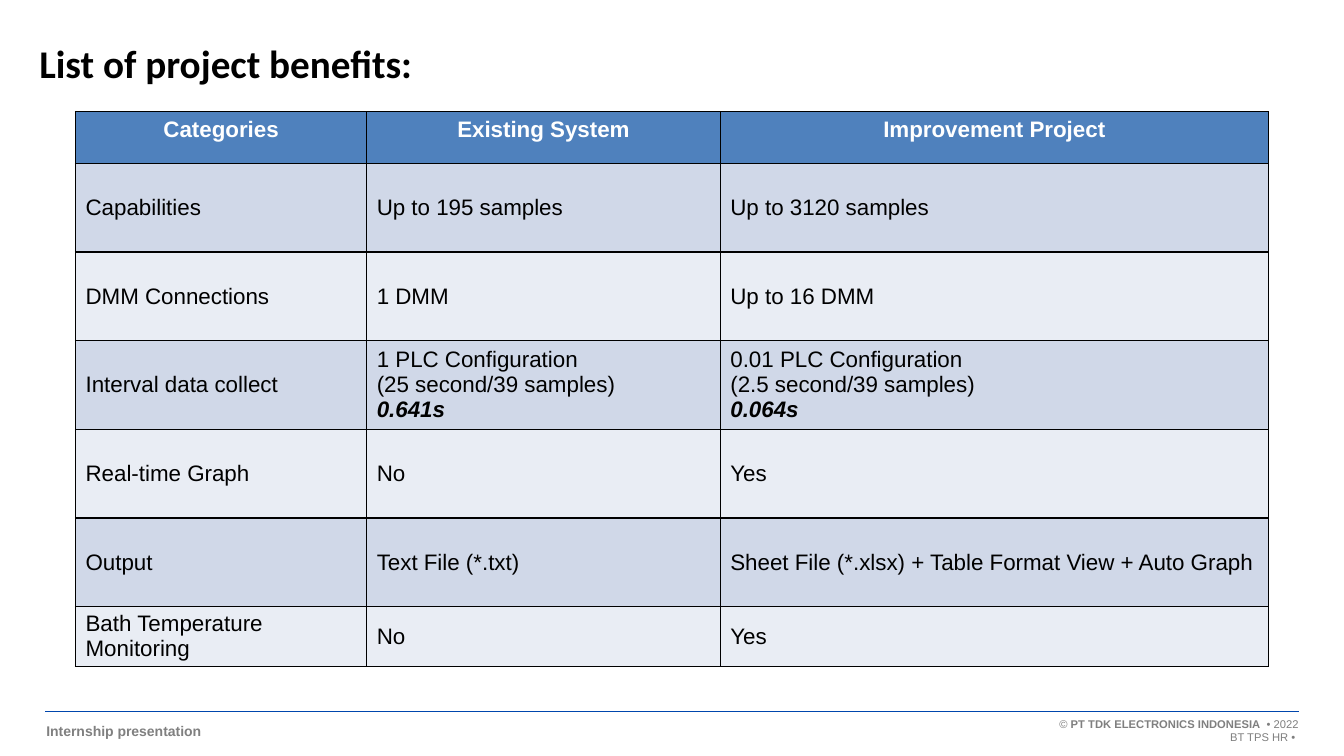
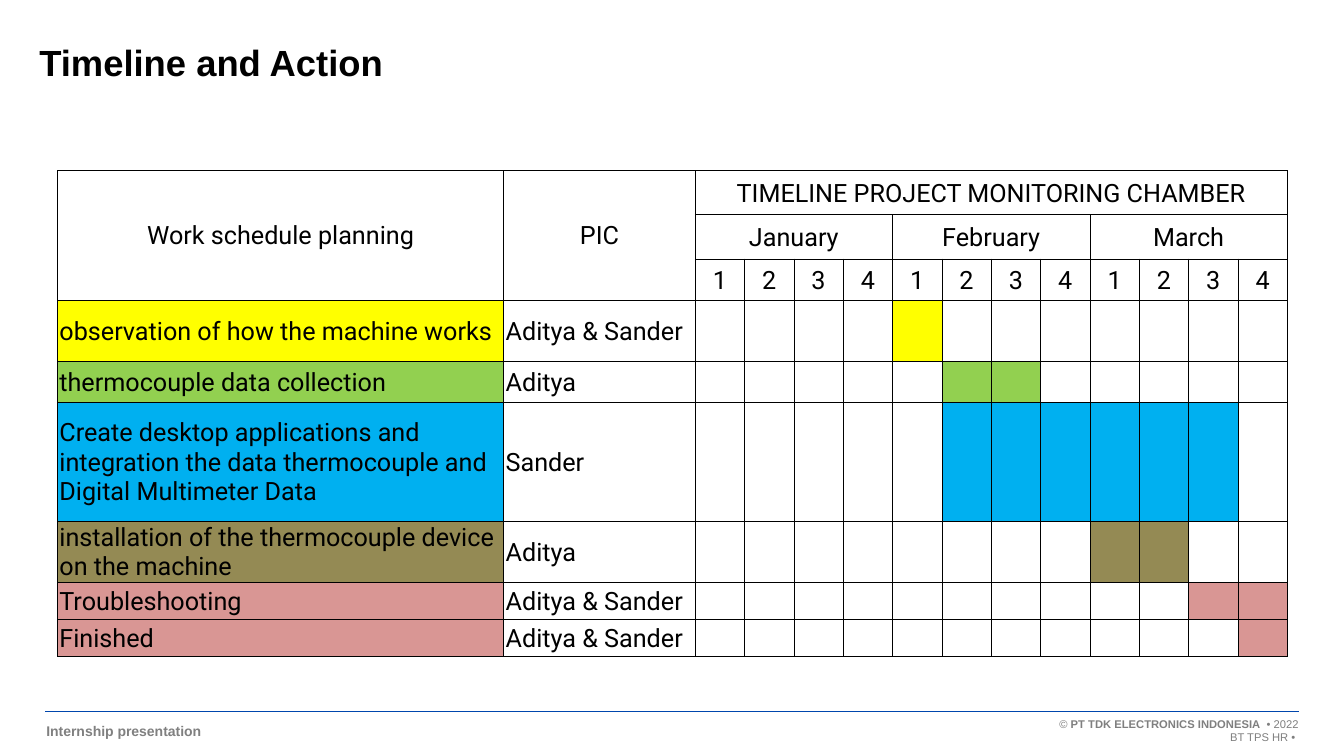
from dataclasses import dataclass
from lxml import etree
from pptx import Presentation
from pptx.dml.color import RGBColor as RGB
from pptx.enum import shapes, text
from pptx.oxml import ns
from pptx.util import Inches, Pt


@dataclass(frozen=True)
class Theme:
    sans: str = "Arial"
    head: str = "Calibri"
    plan: str = "Roboto"
    black: str = "000000"
    white: str = "FFFFFF"
    foot: str = "808080"
    note: str = "7F7F7F"
    rule: str = "0046AD"
    band: str = "4F81BD"
    odd: str = "D0D8E8"
    even: str = "E9EDF4"
    body: int = 16
    task: int = 18
    label: int = 10
    small: int = 8


T = Theme()
LEFT, MID, RIGHT = text.PP_ALIGN.LEFT, text.PP_ALIGN.CENTER, text.PP_ALIGN.RIGHT
TOP, CORE, LOW = text.MSO_ANCHOR.TOP, text.MSO_ANCHOR.MIDDLE, text.MSO_ANCHOR.BOTTOM

FOOT = "Internship presentation"
OWNER = [("© ", False), ("PT TDK ELECTRONICS INDONESIA  ", True), ("• 2022", False)]
UNIT = "BT TPS HR • "

GAINS = [
    ("Categories", "Existing System", "Improvement Project"),
    ("Capabilities", "Up to 195 samples", "Up to 3120 samples"),
    ("DMM Connections", "1 DMM", "Up to 16 DMM"),
    ("Interval data collect",
     "1 PLC Configuration\n(25 second/39 samples)\n0.641s",
     "0.01 PLC Configuration\n(2.5 second/39 samples)\n0.064s"),
    ("Real-time Graph", "No", "Yes"),
    ("Output", "Text File (*.txt)",
     "Sheet File (*.xlsx) + Table Format View + Auto Graph"),
    ("Bath Temperature Monitoring", "No", "Yes"),
]

MONTHS = ["January", "February", "March"]
WEEKS = 4
BOTH = "Aditya & Sander"
TASKS = [
    ("observation of how the machine works", BOTH, "FFFF00", 5, 5, 0.6),
    ("thermocouple data collection", "Aditya", "92D050", 6, 7, 0.41),
    ("Create desktop applications and integration the data thermocouple "
     "and Digital Multimeter Data", "Sander", "00B0F0", 6, 11, 1.18),
    ("installation of the thermocouple device on the machine", "Aditya",
     "948A54", 9, 10, 0.6),
    ("Troubleshooting", BOTH, "D99694", 11, 12, 0.37),
    ("Finished", BOTH, "D99694", 12, 12, 0.37),
]


def style(para, face, size, color, bold=False, align=LEFT):
    para.alignment = align
    font = para.font
    font.name, font.size, font.bold = face, Pt(size), bold
    font.color.rgb = RGB.from_string(color)


def trim(frame, anchor):
    frame.margin_left = frame.margin_right = 0
    frame.margin_top = frame.margin_bottom = 0
    frame.word_wrap = True
    frame.auto_size = text.MSO_AUTO_SIZE.NONE
    frame.vertical_anchor = anchor


def box(slide, *area):
    shape = slide.shapes.add_textbox(*map(Inches, area))
    trim(shape.text_frame, CORE)
    return shape


def footer(slide, layout):
    left = box(slide, 0.46, 7.17, 9.2, 0.17)
    para = left.text_frame.paragraphs[0]
    para.text = FOOT
    style(para, T.sans, T.label, T.foot, True)

    right = box(slide, 9.14, 7.11, 3.75, 0.27)
    para = right.text_frame.paragraphs[0]
    for words, bold in OWNER:
        run = para.add_run()
        run.text, run.font.bold = words, bold
    right.text_frame.add_paragraph().text = UNIT
    for para in right.text_frame.paragraphs:
        style(para, T.sans, T.small, T.note, align=RIGHT)

    rule = slide.shapes.add_connector(
        shapes.MSO_CONNECTOR.STRAIGHT, *map(Inches, (0.45, 7.06, 12.89, 7.06)))
    rule.line.width = Pt(1)
    rule.line.color.rgb = RGB.from_string(T.rule)
    etree.SubElement(rule.element.spPr, ns.qn("a:effectLst"))

    for part in (left, rule, right):
        layout.shapes.element.append(part.element)


def title(slide, words, face, size, high):
    shape = slide.shapes.title
    shape.left, shape.top, shape.width, shape.height = map(
        Inches, (0.39, 0.39, 8.42, high))
    trim(shape.text_frame, LOW)
    shape.text_frame.text = words
    style(shape.text_frame.paragraphs[0], face, size, T.black, True)


def grid(slide, left, top, cols, rows, head):
    table = slide.shapes.add_table(
        len(rows), len(cols), *map(Inches, (left, top, sum(cols), sum(rows)))).table
    table.first_row, table.horz_banding = head, False
    for col, wide in zip(table.columns, cols):
        col.width = Inches(wide)
    for row, high in zip(table.rows, rows):
        row.height = Inches(high)
    return table


def border(cell, width):
    props = cell._tc.get_or_add_tcPr()
    for side in ("lnL", "lnR", "lnT", "lnB"):
        line = etree.SubElement(props, ns.qn("a:" + side), w=str(Pt(width)))
        fill = etree.SubElement(line, ns.qn("a:solidFill"))
        etree.SubElement(fill, ns.qn("a:srgbClr"), val=T.black)


def paint(cell, color, width):
    border(cell, width)
    cell.fill.solid()
    cell.fill.fore_color.rgb = RGB.from_string(color)


def gains(slide):
    title(slide, "List of project benefits:", T.head, 28, 0.47)
    rows = [0.51] + [0.88] * 5 + [0.51]
    table = grid(slide, 0.75, 1.11, [2.89, 3.51, 5.44], rows, True)
    for r, line in enumerate(GAINS):
        head = r == 0
        back = T.band if head else (T.even, T.odd)[r % 2]
        for c, words in enumerate(line):
            cell = table.cell(r, c)
            paint(cell, back, 1)
            cell.text = words
            cell.vertical_anchor = TOP if head else CORE
            for n, para in enumerate(cell.text_frame.paragraphs):
                style(para, T.sans, T.body, T.white if head else T.black,
                      head or n == 2, MID if head else LEFT)
                para.font.italic = n == 2


def plan(slide):
    title(slide, "Timeline and Action", T.sans, 26, 0.44)
    count = len(MONTHS) * WEEKS
    rows = [0.44, 0.44, 0.41] + [task[-1] for task in TASKS]
    table = grid(slide, 0.57, 1.69, [4.43, 1.9] + [0.49] * count, rows, False)

    words = {(0, 0): "Work schedule planning", (0, 1): "PIC",
             (0, 2): "TIMELINE PROJECT MONITORING CHAMBER"}
    spans = [(0, 0, 2, 0), (0, 1, 2, 1), (0, 2, 0, count + 1)]
    for m, month in enumerate(MONTHS):
        col = 2 + m * WEEKS
        words[1, col] = month
        spans.append((1, col, 1, col + WEEKS - 1))
    for w in range(count):
        words[2, 2 + w] = str(w % WEEKS + 1)

    fills = {}
    for r, (name, who, color, first, last, _) in enumerate(TASKS, 3):
        words[r, 0], words[r, 1] = name, who
        for c in (0, *range(first + 1, last + 2)):
            fills[r, c] = color

    for r in range(len(rows)):
        for c in range(count + 2):
            cell = table.cell(r, c)
            paint(cell, fills.get((r, c), T.white), 0.5)
            cell.margin_left = cell.margin_right = cell.margin_top = Inches(0.02)
            cell.margin_bottom = 0
            cell.vertical_anchor = CORE
            cell.text = words.get((r, c), "")
            style(cell.text_frame.paragraphs[0], T.plan, T.task, T.black,
                  align=MID if r < 3 else LEFT)
    for r, c, down, over in spans:
        table.cell(r, c).merge(table.cell(down, over))


def main():
    deck = Presentation()
    deck.slide_width, deck.slide_height = Inches(13.34), Inches(7.5)
    layout = deck.slide_layouts[5]
    pages = [deck.slides.add_slide(layout) for _ in range(2)]
    footer(pages[0], layout)
    gains(pages[0])
    plan(pages[1])
    deck.save("out.pptx")


if __name__ == "__main__":
    main()
